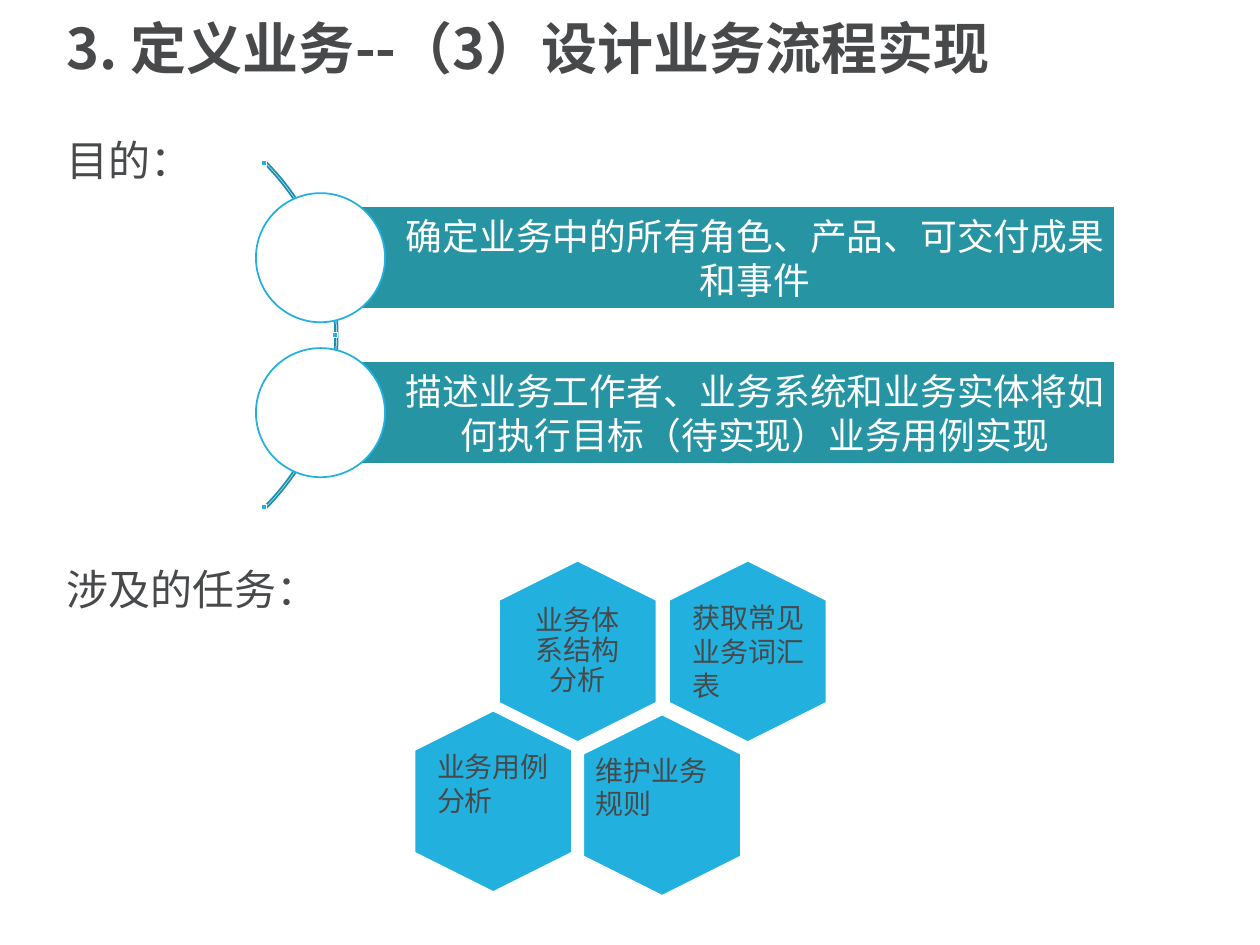
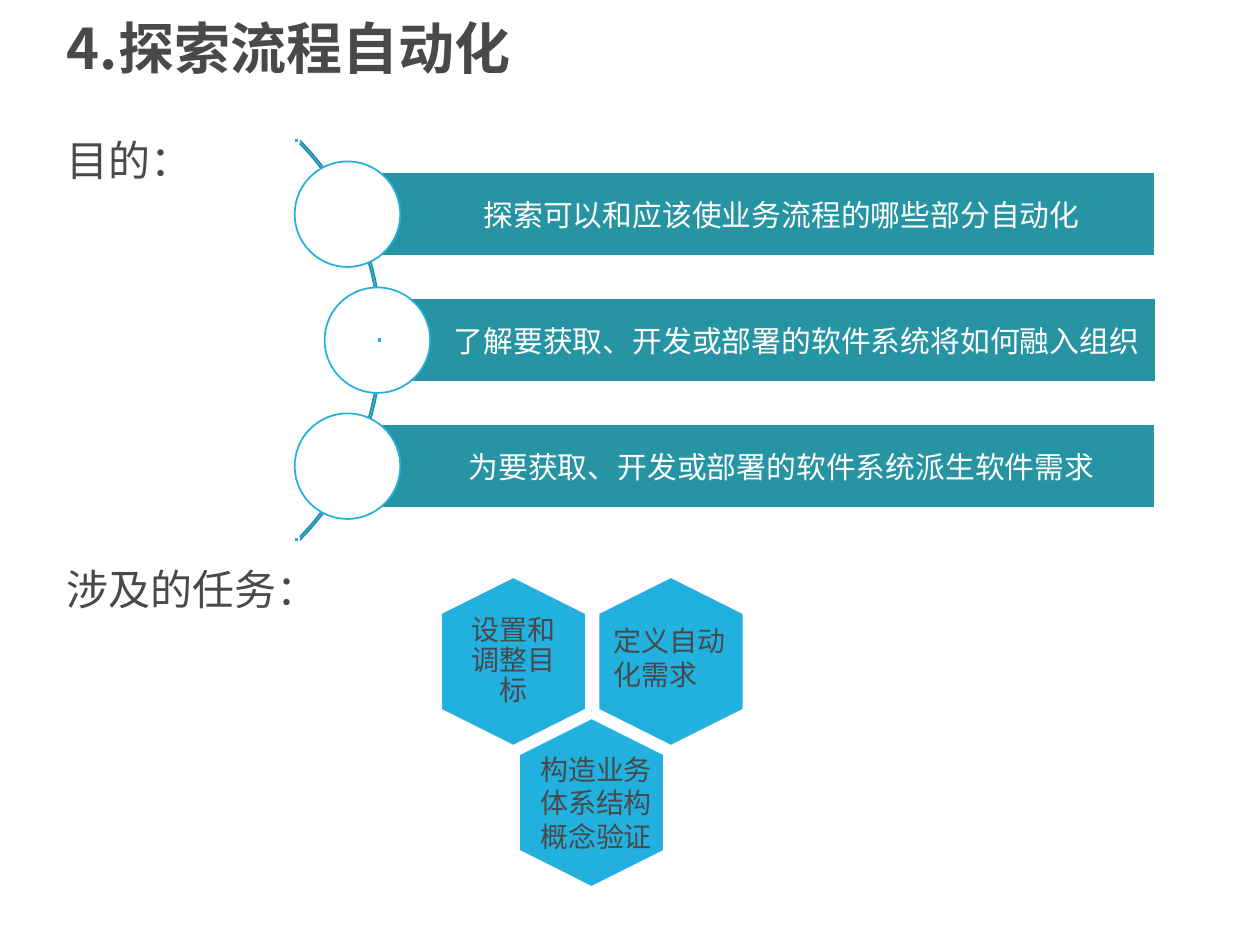
import math

import pptx
import pptx.dml.color
import pptx.enum.shapes
import pptx.enum.text
import pptx.oxml
import pptx.oxml.ns
import pptx.util

Inches = pptx.util.Inches
Pt = pptx.util.Pt
RGBColor = pptx.dml.color.RGBColor
MSO_SHAPE = pptx.enum.shapes.MSO_SHAPE
MSO_ANCHOR = pptx.enum.text.MSO_ANCHOR
PP_ALIGN = pptx.enum.text.PP_ALIGN

# Shared look
DARK = RGBColor(0x47, 0x49, 0x4B)
SKY = RGBColor(0x22, 0xB1, 0xDE)
ARC_BLUE = RGBColor(0x1B, 0x8E, 0xB2)
TEAL = RGBColor(0x27, 0x94, 0xA4)
WHITE = RGBColor(0xFF, 0xFF, 0xFF)
NOTO, CALIBRI, DEJAVU = "Noto Sans CJK SC", "Calibri", "DejaVu Sans"
TEXT_INSETS = (0.1, 0.05, 0.1, 0.05)
HEXAGON_INSETS = (0.22, 0.26, 0.22, 0.26)
SECTION_LABELS = [("目的：", 0.98), ("涉及的任务：", 4.38)]

# Content: goals are (text, font); tasks are (text, font, hexagon corner,
# label box), where a label box of None puts the text inside the hexagon
SLIDES = [
    {
        "title": "3. 定义业务--（3）设计业务流程实现",
        "arc": {"center": (0.73, 2.66), "radius": 1.95, "thickness": 0.005},
        "bars": {"height": 0.82, "pitch": 1.23, "right": 8.85,
                 "insets": (0.65, 0.06, 0.06, 0.06), "size": 21},
        "goals": [
            ("确定业务中的所有角色、产品、可交付成果和事件", NOTO),
            ("描述业务工作者、业务系统和业务实体将如何执行目标（待实现）业务用例实现", CALIBRI),
        ],
        "hexagon": (1.25, 1.44),
        "tasks": [
            ("获取常见业务词汇表", CALIBRI, (5.31, 4.45), (5.4, 4.72, 1.22, 0.91)),
            ("业务体系结构分析", NOTO, (3.96, 4.45), None),
            ("维护业务规则", CALIBRI, (4.63, 5.67), (4.63, 5.93, 1.22, 0.64)),
            ("业务用例分析", CALIBRI, (3.29, 5.64), (3.37, 5.9, 1.22, 0.64)),
        ],
    },
    {
        "title": "4.探索流程自动化",
        "arc": {"center": (0.77, 2.7), "radius": 2.26, "thickness": 0.004},
        "bars": {"height": 0.67, "pitch": 1.0, "right": 9.17,
                 "insets": (0.53, 0.05, 0.05, 0.05), "size": 17},
        "goals": [
            ("探索可以和应该使业务流程的哪些部分自动化", NOTO),
            ("了解要获取、开发或部署的软件系统将如何融入组织", CALIBRI),
            ("为要获取、开发或部署的软件系统派生软件需求", CALIBRI),
        ],
        "hexagon": (1.15, 1.34),
        "tasks": [
            ("定义自动化需求", DEJAVU, (4.75, 4.58), (4.77, 4.9, 1.13, 0.64)),
            ("设置和调整目标", CALIBRI, (3.5, 4.58), None),
            ("构造业务体系结构概念验证", CALIBRI, (4.12, 5.7), (4.19, 5.92, 1.13, 0.91)),
        ],
    },
]


def write(shape, text, size, font, color=DARK, bold=False, align=PP_ALIGN.LEFT,
          anchor=MSO_ANCHOR.TOP, insets=TEXT_INSETS, spacing=1.0, east_asian=CALIBRI):
    frame = shape.text_frame
    frame.word_wrap = True
    frame.auto_size = pptx.enum.text.MSO_AUTO_SIZE.NONE
    frame.vertical_anchor = anchor
    (frame.margin_left, frame.margin_top,
     frame.margin_right, frame.margin_bottom) = map(Inches, insets)
    paragraph = frame.paragraphs[0]
    paragraph.alignment = align
    paragraph.line_spacing = spacing
    run = paragraph.add_run()
    run.text = text
    run.font.size = Pt(size)
    run.font.name = font
    run.font.bold = bold
    run.font.color.rgb = color
    typeface = pptx.oxml.parse_xml(
        f'<a:ea {pptx.oxml.ns.nsdecls("a")} typeface="{east_asian}"/>')
    run.font._element.find(pptx.oxml.ns.qn("a:latin")).addnext(typeface)


def paint(shape, fill, line):
    shape.shadow.inherit = False
    if fill is None:
        shape.fill.background()
    else:
        shape.fill.solid()
        shape.fill.fore_color.rgb = fill
    shape.line.color.rgb = line
    shape.line.width = Pt(1)


def add_box(slide, kind, left, top, width, height, fill, line):
    shape = slide.shapes.add_shape(kind, *map(Inches, (left, top, width, height)))
    paint(shape, fill, line)
    return shape


def add_centered(slide, kind, x, y, size, fill, line):
    return add_box(slide, kind, x - size / 2, y - size / 2, size, size, fill, line)


def add_text_box(slide, box, *args, **style):
    write(slide.shapes.add_textbox(*map(Inches, box)), *args, **style)


def add_hexagon(slide, left, top, width, height):
    shoulder = width / 4
    middle, right, bottom = left + width / 2, left + width, top + height
    points = [(right, top + shoulder), (right, bottom - shoulder), (middle, bottom),
              (left, bottom - shoulder), (left, top + shoulder)]
    builder = slide.shapes.build_freeform(Inches(middle), Inches(top))
    builder.add_line_segments([(Inches(x), Inches(y)) for x, y in points], close=True)
    shape = builder.convert_to_shape()
    paint(shape, SKY, WHITE)
    return shape


def add_tasks(slide, content):
    hexagons = [add_hexagon(slide, *corner, *content["hexagon"])
                for _, _, corner, _ in content["tasks"]]
    for hexagon, (text, font, _, box) in zip(hexagons, content["tasks"]):
        if box is None:
            write(hexagon, text, 16, font, align=PP_ALIGN.CENTER,
                  anchor=MSO_ANCHOR.MIDDLE, insets=HEXAGON_INSETS, spacing=0.9)
        else:
            add_text_box(slide, box, text, 16, font)


def add_goals(slide, content):
    arc, bars, goals = content["arc"], content["bars"], content["goals"]
    center_x, center_y = arc["center"]
    radius = arc["radius"]

    # Curved spine
    spine = add_centered(slide, MSO_SHAPE.BLOCK_ARC, center_x, center_y,
                         2 * radius, None, ARC_BLUE)
    for index, value in enumerate((189, 27, arc["thickness"])):
        spine.adjustments[index] = value

    # Bars start on the spine, each with a circle at its left end
    for index, (text, font) in enumerate(goals):
        offset = (index - (len(goals) - 1) / 2) * bars["pitch"]
        left = center_x + math.sqrt((radius - 0.035) ** 2 - offset ** 2)
        middle = center_y + offset
        bar = add_box(slide, MSO_SHAPE.RECTANGLE, left, middle - bars["height"] / 2,
                      bars["right"] - left, bars["height"], TEAL, WHITE)
        write(bar, text, bars["size"], font, color=WHITE, align=PP_ALIGN.CENTER,
              anchor=MSO_ANCHOR.MIDDLE, insets=bars["insets"])
        add_centered(slide, MSO_SHAPE.OVAL, left, middle, 1.25 * bars["height"],
                     WHITE, SKY)

    # Small squares at the ends and middle of the spine
    for degrees in (-45, 0, 45):
        angle = math.radians(degrees)
        add_centered(slide, MSO_SHAPE.RECTANGLE,
                     center_x + (radius - 0.02) * math.cos(angle),
                     center_y + (radius - 0.02) * math.sin(angle), 0.04, SKY, WHITE)


def add_slide(presentation, content):
    slide = presentation.slides.add_slide(presentation.slide_layouts[5])
    title = slide.shapes.title
    title.left, title.top, title.width, title.height = map(
        Inches, (0.43, 0.06, 9.05, 0.7))
    write(title, content["title"], 32, NOTO, bold=True, anchor=MSO_ANCHOR.MIDDLE,
          spacing=0.9, east_asian=NOTO)
    for text, top in SECTION_LABELS:
        add_text_box(slide, (0.43, top, 2.4, 0.6), text, 24, NOTO, spacing=1.1)
    add_tasks(slide, content)
    add_goals(slide, content)


def main():
    presentation = pptx.Presentation()
    presentation.slide_width = Inches(10)
    presentation.slide_height = Inches(7.5)
    for content in SLIDES:
        add_slide(presentation, content)
    presentation.save("out.pptx")


if __name__ == "__main__":
    main()
